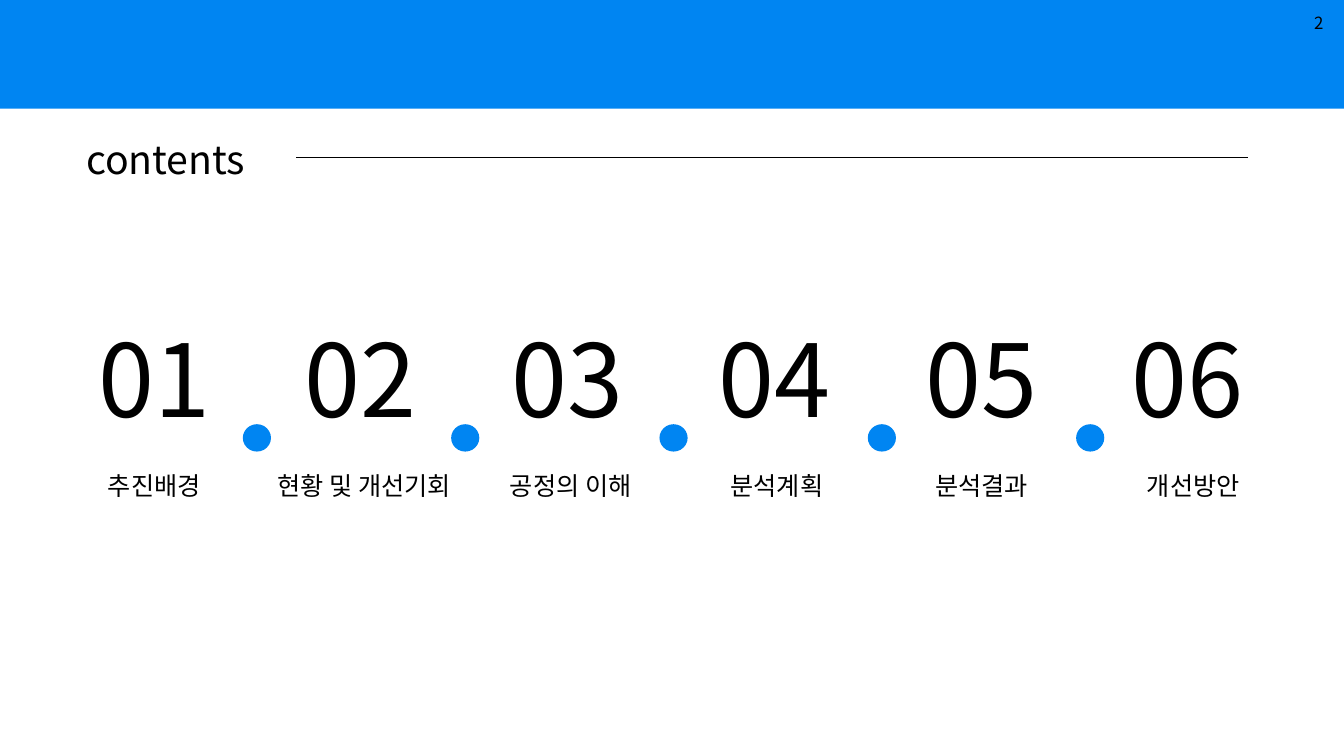
"""Build the contents slide with six numbered chapters."""
from lxml.etree import SubElement as Sub
from pptx import Presentation
from pptx.dml.color import RGBColor as Rgb
from pptx.enum.shapes import MSO_CONNECTOR as Link, MSO_SHAPE as Kind
from pptx.enum.text import MSO_AUTO_SIZE as Fit, PP_ALIGN as Align
from pptx.oxml.ns import qn
from pptx.util import Cm, Pt

HUES = {"blue": "0085F2", "ink": "000000"}
FONT = "Noto Sans CJK KR"
ITEMS = [
    ("추진배경", 3.89, 4.17),
    ("현황 및 개선기회", 9.18, 5.97),
    ("공정의 이해", 14.38, 4.17),
    ("분석계획", 19.58, 4.17),
    ("분석결과", 24.74, 4.17),
    ("개선방안", 30.07, 4.17),
]


def hue(name):
    return Rgb.from_string(HUES[name])


def add_text(slide, text, area, size, align=Align.CENTER, fit=Fit.SHAPE_TO_FIT_TEXT):
    frame = slide.shapes.add_textbox(*map(Cm, area)).text_frame
    frame.word_wrap = True
    frame.auto_size = fit
    para = frame.paragraphs[0]
    para.alignment = align
    run = para.add_run()
    run.text = text
    run.font.size = Pt(size)
    run.font.color.rgb = hue("ink")
    run.font.name = FONT
    Sub(run.font._element, qn("a:ea")).set("typeface", FONT)


def add_solid(slide, kind, area):
    shape = slide.shapes.add_shape(kind, *map(Cm, area))
    shape.shadow.inherit = False
    shape.fill.solid()
    shape.fill.fore_color.rgb = hue("blue")
    shape.line.fill.background()


def add_rule(slide, left, right, top):
    rule = slide.shapes.add_connector(Link.STRAIGHT, Cm(left), Cm(top), Cm(right), Cm(top))
    rule.line.color.rgb = hue("ink")
    rule.line.width = Pt(0.5)
    Sub(rule._element.spPr, qn("a:effectLst"))


def main():
    deck = Presentation()
    deck.slide_width, deck.slide_height = Cm(33.87), Cm(19.05)
    slide = deck.slides.add_slide(deck.slide_layouts[6])
    add_solid(slide, Kind.RECTANGLE, (0, 0, 33.87, 2.74))
    add_text(slide, "2", (25.98, 0.2, 7.62, 1.02), 12, Align.RIGHT, Fit.NONE)
    add_text(slide, "contents", (1.9, 3.28, 4.55, 1.45), 28)
    add_rule(slide, 7.46, 31.45, 3.96)
    for i, (label, mid, width) in enumerate(ITEMS):
        add_text(slide, f"{i + 1:02}", (1.98 + 5.21 * i, 7.85, 3.81, 3.33), 72)
        add_text(slide, label, (mid - width / 2, 11.72, width, 1.02), 18)
    for i in range(len(ITEMS) - 1):
        add_solid(slide, Kind.OVAL, (6.12 + 5.25 * i, 10.69, 0.71, 0.69))
    deck.save("out.pptx")


if __name__ == "__main__":
    main()
